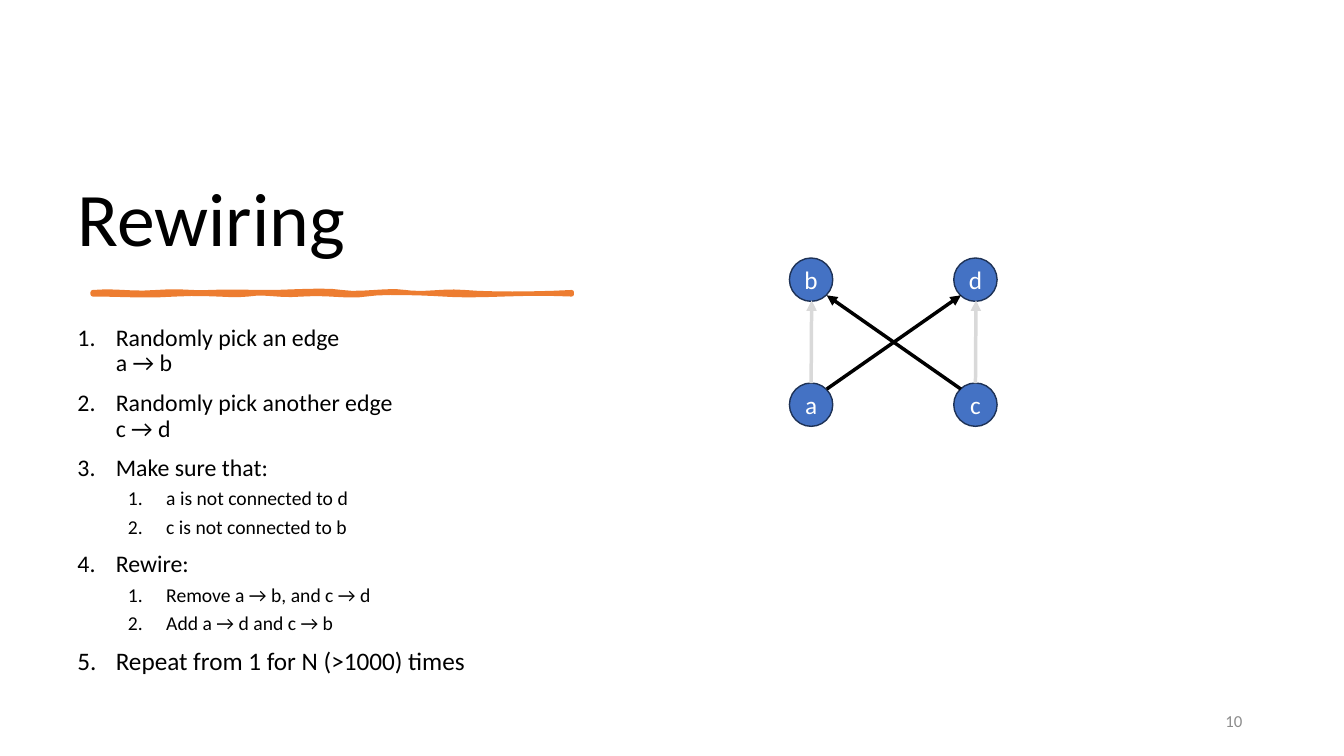
from dataclasses import dataclass

from lxml import etree
from pptx import Presentation
from pptx.dml.color import RGBColor
from pptx.enum.shapes import MSO_CONNECTOR, MSO_SHAPE
from pptx.enum.text import MSO_ANCHOR, PP_ALIGN
from pptx.oxml.ns import qn
from pptx.util import Inches, Pt

STRAIGHT = MSO_CONNECTOR.STRAIGHT
OVAL = MSO_SHAPE.OVAL
TOP, MIDDLE, BOTTOM = MSO_ANCHOR.TOP, MSO_ANCHOR.MIDDLE, MSO_ANCHOR.BOTTOM
LEFT, CENTER, RIGHT = PP_ALIGN.LEFT, PP_ALIGN.CENTER, PP_ALIGN.RIGHT


@dataclass
class Theme:
    font: str = "Calibri"
    text: RGBColor = RGBColor.from_string("000000")
    page: RGBColor = RGBColor.from_string("8C8C8C")
    accent: RGBColor = RGBColor.from_string("ED7D31")
    node: RGBColor = RGBColor.from_string("4472C4")
    node_line: RGBColor = RGBColor.from_string("1E3256")
    node_text: RGBColor = RGBColor.from_string("FFFFFF")
    old_edge: RGBColor = RGBColor.from_string("D9D9D9")
    new_edge: RGBColor = RGBColor.from_string("000000")
    title_size: int = 54
    step_size: int = 17
    substep_size: int = 14
    last_step_size: int = 18
    node_size: int = 18
    page_size: int = 12


theme = Theme()


def write(paragraph, text, size, color=theme.text, align=LEFT, spacing=None, before=None, level=None):
    paragraph.alignment = align
    if spacing:
        paragraph.line_spacing = spacing
    if before:
        paragraph.space_before = Pt(before)
    if level is not None:
        paragraph.level = level
        properties = paragraph._p.get_or_add_pPr()
        properties.set("marL", str(Inches(0.38 + 0.5 * level)))
        properties.set("indent", str(-Inches(0.38)))
        etree.SubElement(properties, qn("a:buFont"), typeface="+mj-lt")
        etree.SubElement(properties, qn("a:buAutoNum"), type="arabicPeriod")
    paragraph.text = text
    for run in paragraph.runs:
        run.font.name = theme.font
        run.font.size = Pt(size)
        run.font.color.rgb = color


def add_frame(slide, left, top, width, height, anchor):
    frame = slide.shapes.add_textbox(Inches(left), Inches(top), Inches(width), Inches(height)).text_frame
    frame.word_wrap = True
    frame.vertical_anchor = anchor
    return frame


presentation = Presentation()
presentation.slide_width = Inches(13.33)
presentation.slide_height = Inches(7.5)
slide = presentation.slides.add_slide(presentation.slide_layouts[6])

title = add_frame(slide, 0.67, 0.4, 5.79, 2.26, BOTTOM)
write(title.paragraphs[0], "Rewiring", theme.title_size, spacing=0.9)

stroke_curves = [
    [(1.17, 2.88), (1.28, 2.92), (1.55, 2.9)],
    [(1.82, 2.88), (1.87, 2.91), (2.08, 2.9)],
    [(2.29, 2.89), (2.46, 2.9), (2.67, 2.9)],
    [(2.88, 2.9), (3.22, 2.87), (3.39, 2.9)],
    [(3.57, 2.93), (3.86, 2.87), (4.02, 2.9)],
    [(4.19, 2.93), (4.39, 2.88), (4.61, 2.9)],
    [(4.83, 2.92), (5.29, 2.92), (5.67, 2.9)],
    [(5.67, 2.91), (5.67, 2.91), (5.67, 2.92)],
    [(5.41, 2.91), (5.29, 2.91), (4.99, 2.92)],
    [(4.69, 2.93), (4.57, 2.93), (4.4, 2.92)],
    [(4.24, 2.91), (3.8, 2.89), (3.63, 2.92)],
    [(3.46, 2.95), (3.25, 2.9), (3, 2.92)],
    [(2.75, 2.94), (2.64, 2.89), (2.46, 2.92)],
    [(2.29, 2.94), (2.07, 2.9), (1.74, 2.92)],
    [(1.41, 2.94), (1.24, 2.92), (0.92, 2.92)],
]
start = (0.92, 2.9)
builder = slide.shapes.build_freeform(Inches(start[0]), Inches(start[1]))
stroke_points = []
for first, second, end in stroke_curves:
    for step in range(1, 7):
        t = step / 6
        weights = ((1 - t) ** 3, 3 * t * (1 - t) ** 2, 3 * t ** 2 * (1 - t), t ** 3)
        x, y = (sum(w * v for w, v in zip(weights, values)) for values in zip(start, first, second, end))
        stroke_points.append((Inches(x), Inches(y)))
    start = end
builder.add_line_segments(stroke_points, close=True)
underline = builder.convert_to_shape()
underline.shadow.inherit = False
underline.fill.solid()
underline.fill.fore_color.rgb = theme.accent
underline.line.color.rgb = theme.accent
underline.line.width = Pt(3.25)
etree.SubElement(underline.line._get_or_add_ln(), qn("a:round"))

steps = [
    (0, "Randomly pick an edge\va → b", theme.step_size),
    (0, "Randomly pick another edge\vc → d", theme.step_size),
    (0, "Make sure that:", theme.step_size),
    (1, "a is not connected to d", theme.substep_size),
    (1, "c is not connected to b", theme.substep_size),
    (0, "Rewire:", theme.step_size),
    (1, "Remove a → b, and c → d", theme.substep_size),
    (1, "Add a → d and c → b", theme.substep_size),
    (0, "Repeat from 1 for N (>1000) times", theme.last_step_size),
]
body = add_frame(slide, 0.67, 3.18, 5.79, 3.57, TOP)
for index, (level, text, size) in enumerate(steps):
    paragraph = body.add_paragraph() if index else body.paragraphs[0]
    before = (5 if level else 10) if index else None
    write(paragraph, text, size, spacing=0.9, before=before, level=level)

page_number = add_frame(slide, 9.42, 6.95, 3, 0.4, MIDDLE)
write(page_number.paragraphs[0], "10", theme.page_size, color=theme.page, align=RIGHT)
page_number.paragraphs[0].space_after = Pt(6)

diameter = 0.43
node_places = {"b": (7.83, 2.56), "a": (7.83, 3.8), "c": (9.46, 3.8), "d": (9.46, 2.56)}
nodes = {}
for name, (left, top) in node_places.items():
    node = slide.shapes.add_shape(OVAL, Inches(left), Inches(top), Inches(diameter), Inches(diameter))
    node.shadow.inherit = False
    node.fill.solid()
    node.fill.fore_color.rgb = theme.node
    node.line.color.rgb = theme.node_line
    node.line.width = Pt(1)
    frame = node.text_frame
    frame.word_wrap = False
    frame.vertical_anchor = MIDDLE
    write(frame.paragraphs[0], name, theme.node_size, color=theme.node_text, align=CENTER)
    nodes[name] = node

edges = [
    ("a", (8.05, 3.8), (8.05, 2.98), theme.old_edge),
    ("c", (9.68, 3.8), (9.68, 2.98), theme.old_edge),
    (None, (8.2, 3.86), (9.53, 2.93), theme.new_edge),
    (None, (9.53, 3.86), (8.2, 2.93), theme.new_edge),
]
for source, begin, end, color in edges:
    edge = slide.shapes.add_connector(STRAIGHT, *(Inches(value) for value in begin + end))
    if source:
        edge.begin_connect(nodes[source], 0)
    edge.line.color.rgb = color
    edge.line.width = Pt(2.5)
    etree.SubElement(edge.line._get_or_add_ln(), qn("a:tailEnd"), type="triangle")
    etree.SubElement(edge._element.spPr, qn("a:effectLst"))

presentation.save("out.pptx")
